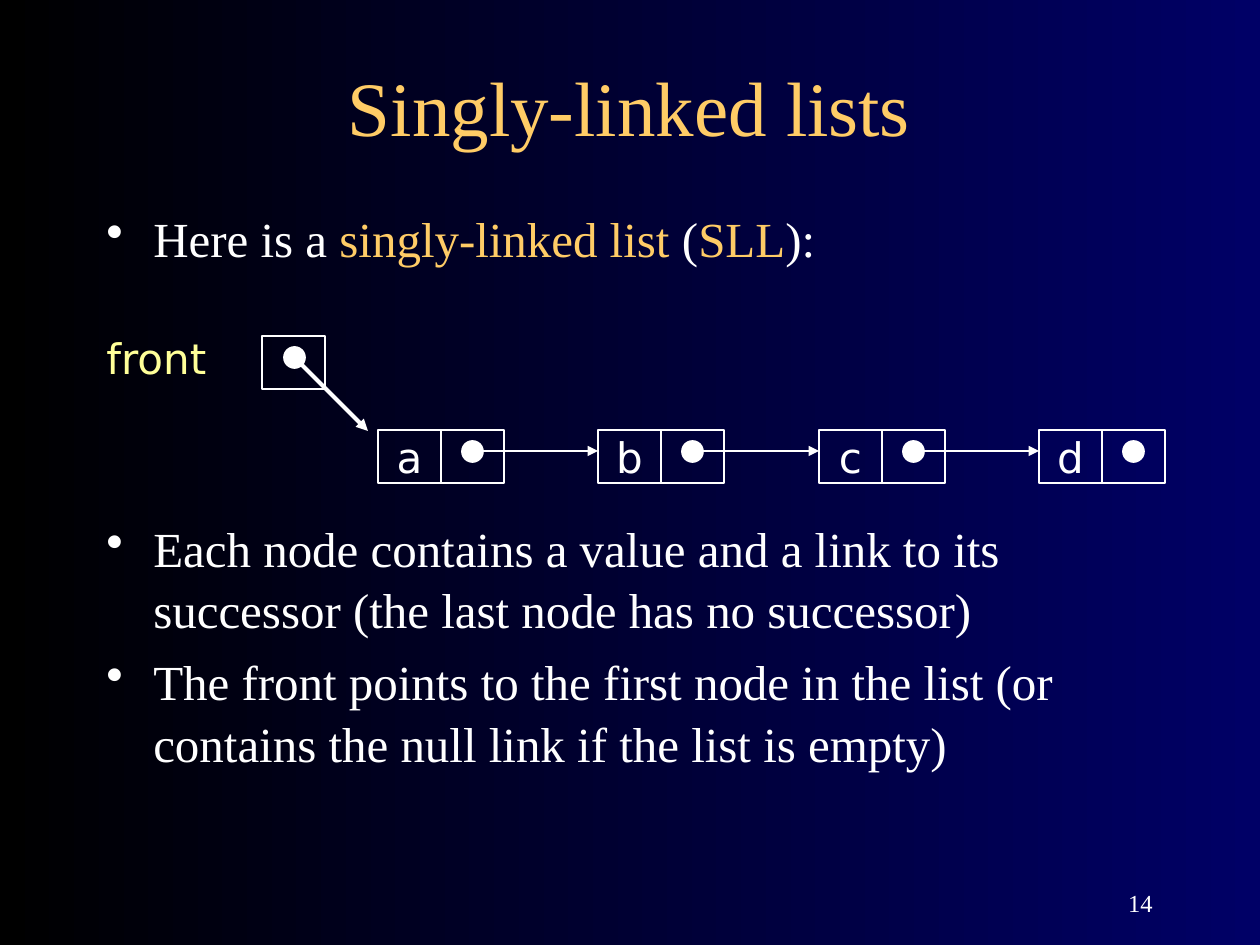
"""Build a slide that explains singly-linked lists with a node diagram."""
import pptx
import pptx.dml.color
import pptx.enum.shapes
import pptx.enum.text
import pptx.oxml.ns
import pptx.util
from lxml import etree

WHITE = pptx.dml.color.RGBColor(0xFF, 0xFF, 0xFF)
GOLD = pptx.dml.color.RGBColor(0xFF, 0xCC, 0x66)
YELLOW = pptx.dml.color.RGBColor(0xFF, 0xFF, 0x99)
BLACK = pptx.dml.color.RGBColor(0x00, 0x00, 0x00)
NAVY = pptx.dml.color.RGBColor(0x00, 0x00, 0x66)
SERIF, SANS = "Times New Roman", "DejaVu Sans"
SHAPES = pptx.enum.shapes.MSO_SHAPE
ALIGN = pptx.enum.text.PP_ALIGN
ANCHOR = pptx.enum.text.MSO_ANCHOR
qn = pptx.oxml.ns.qn


def px(*lengths):
    return [pptx.util.Emu(round(length * 914400 / 126)) for length in lengths]


def style(paragraph, typeface, size, color, align):
    paragraph.font.name = typeface
    paragraph.font.size = pptx.util.Pt(size)
    paragraph.font.color.rgb = color
    paragraph.alignment = align


deck = pptx.Presentation()
deck.slide_width, deck.slide_height = px(1260, 945)
slide = deck.slides.add_slide(deck.slide_layouts[5])
backdrop = slide.background.fill
backdrop.gradient()
backdrop.gradient_angle = 0
for stop, color in zip(backdrop.gradient_stops, (BLACK, NAVY)):
    stop.color.rgb = color

title = slide.shapes.title
title.left, title.top, title.width, title.height = px(94, 53, 1071, 105)
title.text_frame.text = "Singly-linked lists"
title.text_frame.vertical_anchor = ANCHOR.MIDDLE
style(title.text_frame.paragraphs[0], SERIF, 44, GOLD, ALIGN.CENTER)

intro = [[("Here is a ", WHITE), ("singly-linked list", GOLD), (" (", WHITE),
          ("SLL", GOLD), ("):", WHITE)]]
explanation = [
    [("Each node contains a value and a link to its successor "
      "(the last node has no successor)", WHITE)],
    [("The front points to the first node in the list "
      "(or contains the null link if the list is empty)", WHITE)],
]
for top, height, points in ((199, 96, intro), (509, 331, explanation)):
    body = slide.shapes.add_textbox(*px(94, top, 1071, height)).text_frame
    body.word_wrap = True
    for index, phrases in enumerate(points):
        point = body.add_paragraph() if index else body.paragraphs[0]
        style(point, SERIF, 28, WHITE, ALIGN.LEFT)
        point.space_before = pptx.util.Pt(5.6)
        point.line_spacing = 1.05
        properties = point._p.get_or_add_pPr()
        indent = px(47)[0]
        properties.set("marL", str(indent))
        properties.set("indent", str(-indent))
        bullet = etree.Element(qn("a:buChar"), char="•")
        properties.find(qn("a:defRPr")).addprevious(bullet)
        for text, color in phrases:
            run = point.add_run()
            run.text = text
            run.font.color.rgb = color

for text, box, typeface, size, color, align, anchor in (
    ("front", (94, 326, 178, 63), SANS, 24, YELLOW, ALIGN.LEFT, ANCHOR.TOP),
    ("14", (903, 861, 262, 63), SERIF, 14, WHITE, ALIGN.RIGHT, ANCHOR.BOTTOM),
):
    label = slide.shapes.add_textbox(*px(*box)).text_frame
    label.word_wrap = True
    label.vertical_anchor = anchor
    label.text = text
    style(label.paragraphs[0], typeface, size, color, align)

CELL_WIDTH, CELL_HEIGHT, DOT = 63, 53, 21
NODE_LEFT, NODE_TOP = 378, 430
LINK_Y = 451
node_lefts = [NODE_LEFT + 441 * index // 2 for index in range(4)]
cells = [("", 262, 336)]
dots = [(284, 347)]
arrows = [(294, 357, 368, 431, 2.25)]
for value, left in zip("abcd", node_lefts):
    cells += [(value, left, NODE_TOP), ("", left + CELL_WIDTH, NODE_TOP)]
    dots.append((left + 84, LINK_Y - DOT // 2))
for left, successor in zip(node_lefts, node_lefts[1:]):
    arrows.append((left + 94, LINK_Y, successor, LINK_Y, 1))

for value, left, top in cells:
    cell = slide.shapes.add_shape(
        SHAPES.RECTANGLE, *px(left, top, CELL_WIDTH, CELL_HEIGHT))
    cell.shadow.inherit = False
    cell.fill.background()
    cell.line.color.rgb = WHITE
    cell.line.width = pptx.util.Pt(1)
    if value:
        cell.text_frame.text = value
        cell.text_frame.word_wrap = False
        cell.text_frame.vertical_anchor = ANCHOR.MIDDLE
        style(cell.text_frame.paragraphs[0], SANS, 24, WHITE, ALIGN.CENTER)

for left, top in dots:
    dot = slide.shapes.add_shape(SHAPES.OVAL, *px(left, top, DOT, DOT))
    dot.shadow.inherit = False
    dot.fill.solid()
    dot.fill.fore_color.rgb = WHITE
    dot.line.color.rgb = WHITE
    dot.line.width = pptx.util.Pt(1)

for *ends, weight in arrows:
    link = slide.shapes.add_connector(
        pptx.enum.shapes.MSO_CONNECTOR.STRAIGHT, *px(*ends))
    link.line.color.rgb = WHITE
    link.line.width = pptx.util.Pt(weight)
    etree.SubElement(link.line._get_or_add_ln(), qn("a:tailEnd"), type="triangle")
    etree.SubElement(link._element.spPr, qn("a:effectLst"))

deck.save("out.pptx")
